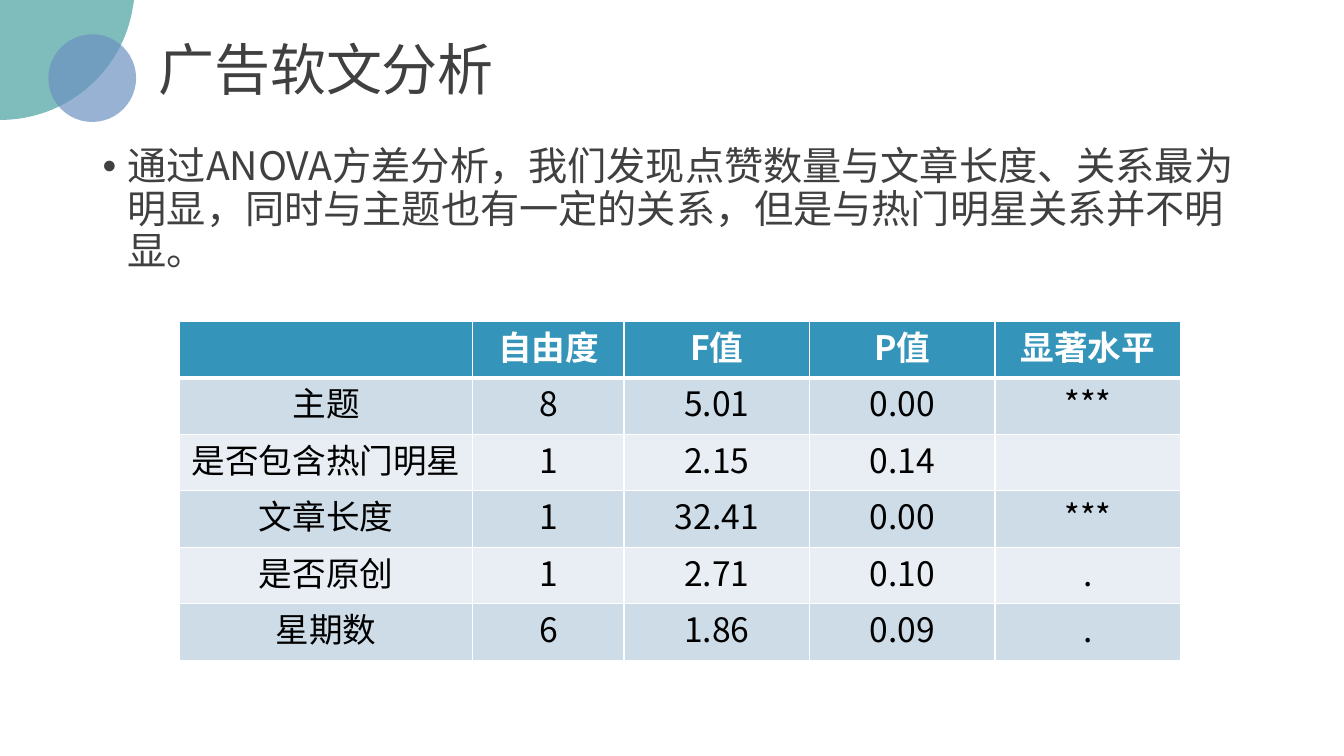
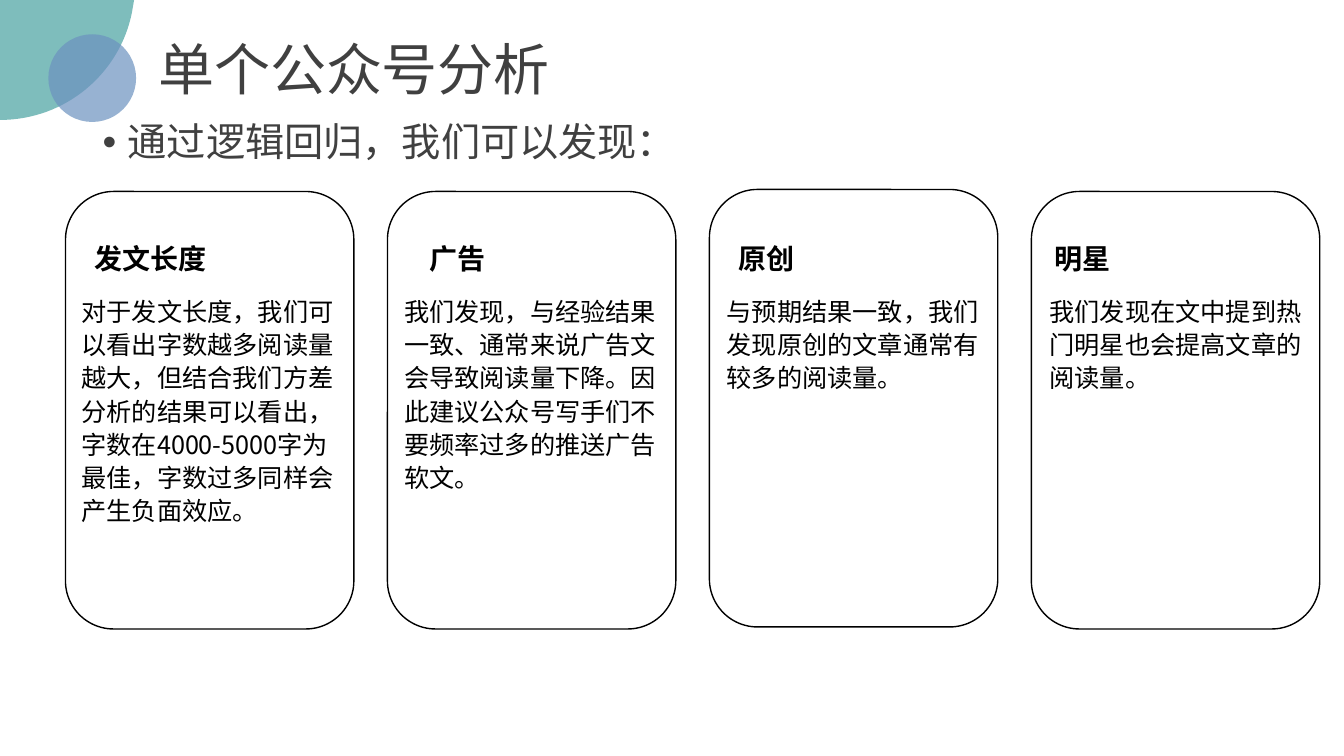
from pptx import Presentation
from pptx.dml.color import RGBColor
from pptx.enum.shapes import MSO_SHAPE as Preset
from pptx.enum.text import MSO_ANCHOR as Anchor, PP_ALIGN as Align
from pptx.oxml.ns import qn
from pptx.util import Inches, Pt
from lxml.etree import SubElement

FONT = "Noto Sans CJK SC"
COLORS = {
    "teal": "48A2A0", "blue": "6C92C0", "title": "404040", "text": "000000",
    "white": "FFFFFF", "header": "3494BA", "band": "CEDCE7", "light": "E8EEF3",
}


def rgb(name):
    return RGBColor.from_string(COLORS[name])


def curve(start, first, second, end, steps=32):
    """Points along a cubic curve, without its start."""
    points = []
    for step in range(1, steps + 1):
        t = step / steps
        weights = ((1 - t) ** 3, 3 * t * (1 - t) ** 2, 3 * t * t * (1 - t), t ** 3)
        points.append(tuple(sum(w * p[axis] for w, p in zip(weights, (start, first, second, end)))
                            for axis in (0, 1)))
    return points


class Deck:
    def __init__(self):
        self.presentation = Presentation()
        self.presentation.slide_width = Inches(13.33)
        self.presentation.slide_height = Inches(7.5)
        self.slide = None

    # Slide frame: corner circles and title
    def add_slide(self, title):
        self.slide = self.presentation.slides.add_slide(self.presentation.slide_layouts[6])
        shapes = self.slide.shapes
        corner = [(1.33, 0), (1.31, 0.12)]
        corner += curve(corner[-1], (1.19, 0.73), (0.65, 1.19), (0, 1.19))
        builder = shapes.build_freeform(0, 0)
        builder.add_line_segments([(Inches(x), Inches(y)) for x, y in corner], close=True)
        self.tint(builder.convert_to_shape(), "teal")
        self.tint(shapes.add_shape(Preset.OVAL, Inches(0.48), Inches(0.34),
                                   Inches(0.87), Inches(0.87)), "blue")
        self.text(title, (1.47, 0.1, 10.95, 1.23), spacing=0.9, anchor=Anchor.MIDDLE,
                  size=Pt(40), color="title")

    def tint(self, shape, color, opacity=70):
        shape.shadow.inherit = False
        shape.fill.solid()
        shape.fill.fore_color.rgb = rgb(color)
        shape.line.fill.background()
        color_node = shape.element.spPr.find(qn("a:solidFill"))[0]
        SubElement(color_node, qn("a:alpha"), val=str(opacity * 1000))

    # Text
    def styled_run(self, paragraph, text, color="text", **formats):
        run = paragraph.add_run()
        run.text = text
        for name, value in {"name": FONT, **formats}.items():
            setattr(run.font, name, value)
        run.font.color.rgb = rgb(color)
        SubElement(run._r.get_or_add_rPr(), qn("a:ea"), typeface=FONT)

    def text(self, text, box, spacing=1.0, anchor=Anchor.TOP, wrap=True, bullet=False, **formats):
        frame = self.slide.shapes.add_textbox(*map(Inches, box)).text_frame
        frame.word_wrap = wrap
        frame.vertical_anchor = anchor
        paragraph = frame.paragraphs[0]
        if bullet:
            properties = paragraph._p.get_or_add_pPr()
            properties.set("marL", str(Inches(0.25)))
            properties.set("indent", str(-Inches(0.25)))
            SubElement(properties, qn("a:buFont"), typeface="Arial")
            SubElement(properties, qn("a:buChar"), char="•")
        paragraph.line_spacing = spacing
        self.styled_run(paragraph, text, **formats)

    def bullet(self, text, top):
        self.text(text, (0.92, top, 11.5, 6.76 - top), spacing=0.9, bullet=True,
                  size=Pt(28), color="title")

    # Table
    def border(self, cell, widths):
        properties = cell._tc.get_or_add_tcPr()
        for side, width in zip("LRTB", widths):
            line = SubElement(properties, qn(f"a:ln{side}"), w=str(Pt(width)))
            fill = SubElement(line, qn("a:solidFill"))
            SubElement(fill, qn("a:srgbClr"), val=COLORS["white"])

    def table(self, rows, left, top, widths, row_height):
        table = self.slide.shapes.add_table(
            len(rows), len(widths), Inches(left), Inches(top),
            Inches(sum(widths)), Inches(row_height * len(rows))).table
        for column, width in zip(table.columns, widths):
            column.width = Inches(width)
        for row_index, values in enumerate(rows):
            table.rows[row_index].height = Inches(row_height)
            header = row_index == 0
            fill = "header" if header else "band" if row_index % 2 else "light"
            for column_index, value in enumerate(values):
                cell = table.cell(row_index, column_index)
                for side in ("left", "right", "top", "bottom"):
                    setattr(cell, f"margin_{side}", 0)
                self.border(cell, (1, 1, 3 if row_index == 1 else 1, 3 if header else 1))
                cell.fill.solid()
                cell.fill.fore_color.rgb = rgb(fill)
                paragraph = cell.text_frame.paragraphs[0]
                paragraph.alignment = Align.CENTER
                if value:
                    self.styled_run(paragraph, value, size=Pt(24), bold=header,
                                    color="white" if header else "text")

    # Card: outline, heading and body
    def card(self, left, top, heading, heading_left, body, body_left):
        outline = self.slide.shapes.add_shape(Preset.ROUNDED_RECTANGLE, Inches(left), Inches(top),
                                              Inches(2.86), Inches(4.34))
        outline.shadow.inherit = False
        outline.fill.background()
        outline.line.color.rgb = rgb("text")
        outline.line.width = Pt(1)
        self.text(heading, (heading_left, 2.35, 1.31, 0.44), wrap=False, size=Pt(20), bold=True)
        self.text(body, (body_left, 2.86, 2.74, 2.73), spacing=1.1, size=Pt(18))


def main():
    deck = Deck()

    # Analysis of variance
    deck.add_slide("广告软文分析")
    deck.bullet("通过ANOVA方差分析，我们发现点赞数量与文章长度、关系最为明显，"
                "同时与主题也有一定的关系，但是与热门明星关系并不明显。", 1.41)
    deck.table([
        ("", "自由度", "F值", "P值", "显著水平"),
        ("主题", "8", "5.01", "0.00", "***"),
        ("是否包含热门明星", "1", "2.15", "0.14", ""),
        ("文章长度", "1", "32.41", "0.00", "***"),
        ("是否原创", "1", "2.71", "0.10", "."),
        ("星期数", "6", "1.86", "0.09", "."),
    ], 1.78, 3.19, (2.91, 1.5, 1.84, 1.84, 1.84), 0.56)

    # Logistic regression findings
    deck.add_slide("单个公众号分析")
    deck.bullet("通过逻辑回归，我们可以发现：", 1.17)
    cards = [
        (1.9, "发文长度", 0.84, "对于发文长度，我们可以看出字数越多阅读量越大，但结合我们方差分析的结果"
                            "可以看出，字数在4000-5000字为最佳，字数过多同样会产生负面效应。"),
        (1.9, "广告", 4.16, "我们发现，与经验结果一致、通常来说广告文会导致阅读量下降。"
                          "因此建议公众号写手们不要频率过多的推送广告软文。"),
        (1.88, "原创", 7.23, "与预期结果一致，我们发现原创的文章通常有较多的阅读量。"),
        (1.9, "明星", 10.36, "我们发现在文中提到热门明星也会提高文章的阅读量。"),
    ]
    pitch = (10.23 - 0.65) / (len(cards) - 1)
    for index, (top, heading, heading_left, body) in enumerate(cards):
        deck.card(0.65 + index * pitch, top, heading, heading_left, body, 0.71 + index * 3.2)

    deck.presentation.save("out.pptx")


if __name__ == "__main__":
    main()
